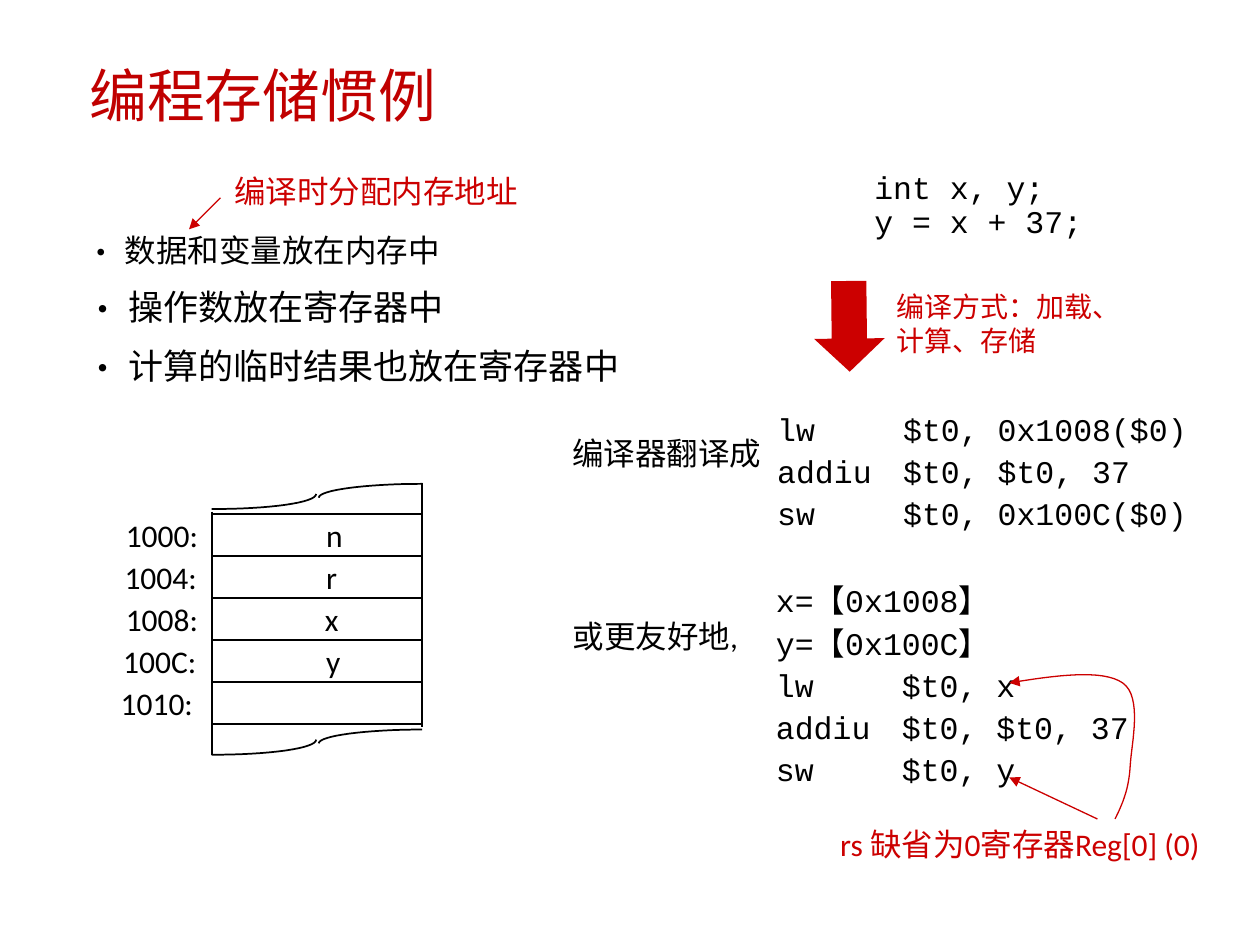
from lxml.etree import SubElement
from pptx import Presentation
from pptx.dml.color import RGBColor
from pptx.enum.shapes import MSO_CONNECTOR as Line, MSO_SHAPE as Shape
from pptx.enum.text import MSO_ANCHOR as Anchor, PP_ALIGN as Align
from pptx.oxml.ns import qn
from pptx.util import Inches, Pt

THEME = {
    "black": RGBColor(0, 0, 0), "red": RGBColor(0xCC, 0, 0),
    "title": RGBColor(0xC0, 0, 0),
    "sans": "Calibri", "cjk": "Noto Sans CJK SC", "code": "Courier New",
    "title_size": 33, "large": 20, "body": 18, "small": 16,
    "rule": 1, "arrow": 0.75,
}

TITLE = "编程存储惯例"
BULLETS = [("数据和变量放在内存中", "body", 0.31),
           ("操作数放在寄存器中", "large", 0.34),
           ("计算的临时结果也放在寄存器中", "large", 0.34)]
MEMORY = [("1000:", 0.9, "n", 2.49), ("1004:", 0.89, "r", 2.49),
          ("1008:", 0.9, "x", 2.48), ("100C:", 0.88, "y", 2.49),
          ("1010:", 0.86, "", 0)]
SOURCE_CODE = ["int x, y;", "y = x + 37;"]
ASSEMBLY = ["lw\t$t0, 0x1008($0)", "addiu\t$t0, $t0, 37",
            "sw\t$t0, 0x100C($0)"]
FRIENDLY = ["x=【0x1008】", "y=【0x100C】", "lw\t$t0, x",
            "addiu\t$t0, $t0, 37", "sw\t$t0, y"]

CODE = {"font": "code", "spacing": 0.6, "before": 11.2, "wrap": True, "tab": 1}
NOTE = {"color": "red", "spacing": 1.0}
CENTERED = {"align": Align.CENTER}
TEXTS = [
    ((1.76, 1.32, 2.45, 0.4), ["编译时分配内存地址"], {**NOTE, "font": "cjk"}),
    ((6.84, 1.32, 1.85, 0.91), SOURCE_CODE, {"font": "code"}),
    ((6.06, 4.67, 3.11, 1.62), FRIENDLY, CODE),
    ((4.41, 4.88, 1.58, 0.37), ["或更友好地,"], CENTERED),
    ((6.57, 6.5, 3.48, 0.4), ["rs 缺省为0寄存器Reg[0] (0)"], NOTE),
    ((6.07, 3.31, 3.7, 0.95), ASSEMBLY, CODE),
    ((4.44, 3.43, 1.7, 0.37), ["编译器翻译成"], {**CENTERED, "font": "cjk"}),
    ((7.02, 2.25, 2.15, 0.64), ["编译方式：加载、计算、存储"],
     {**NOTE, "size": "small", "wrap": True}),
]

LEFT, RIGHT, FIRST_ROW, ROW = 1.69, 3.35, 4.08, 1 / 3
TORN_EDGE = [[(2.53, 3.95), (2.53, 3.89), (2.9, 3.84), (3.35, 3.84)],
             [(2.51, 3.92), (2.51, 3.99), (2.14, 4.04), (1.68, 4.04)]]
EDGE_GAP = 1.95
SIDES = [((1.68, 4.06), (1.68, 5.99)), ((3.35, 3.83), (3.35, 5.77))]
NOTE_ARROWS = [((1.75, 1.57), (1.5, 1.82)), ((8.71, 6.5), (8.01, 6.17))]
RETURN_CURVE = [
    [(8.85, 6.5), (8.91, 6.38), (8.96, 6.26), (8.97, 6.08)],
    [(8.97, 6.08), (8.98, 5.9), (9.07, 5.53), (8.91, 5.42)],
    [(8.91, 5.42), (8.75, 5.31), (8.38, 5.36), (8.01, 5.42)],
]


def style_paragraph(para, font="sans", color="black", size="body",
                    align=Align.LEFT, spacing=0.9, before=0):
    para.alignment, para.line_spacing = align, spacing
    para.space_before = Pt(before)
    values = {"name": THEME[font], "size": Pt(THEME[size])}
    for span in para.runs:
        for name, value in values.items():
            setattr(span.font, name, value)
        span.font.color.rgb = THEME[color]
        SubElement(span.font._element, qn("a:ea"), typeface=THEME["cjk"])


def add_text(page, place, lines, wrap=False, before=0, tab=None, **style):
    box = page.shapes.add_textbox(*map(Inches, place))
    frame = box.text_frame
    frame.word_wrap = wrap
    frame.text = "\n".join(lines)
    for index, para in enumerate(frame.paragraphs):
        if tab:
            stops = SubElement(para._p.get_or_add_pPr(), qn("a:tabLst"))
            SubElement(stops, qn("a:tab"), pos=str(Inches(tab)), algn="l")
        style_paragraph(para, before=before if index else 0, **style)
    return frame


def style_line(shape, color, width, arrow):
    shape.line.color.rgb = THEME[color]
    shape.line.width = Pt(THEME[width])
    if arrow:
        SubElement(shape.line._get_or_add_ln(), qn("a:tailEnd"), type="triangle")


def add_line(page, start, end, color="black", width="rule", arrow=False):
    points = map(Inches, (*start, *end))
    line = page.shapes.add_connector(Line.STRAIGHT, *points)
    style_line(line, color, width, arrow)
    SubElement(line._element.spPr, qn("a:effectLst"))


def bezier(controls, steps=16):
    for step in range(steps + 1):
        t = step / steps
        weights = ((1 - t) ** 3, 3 * t * (1 - t) ** 2, 3 * t * t * (1 - t), t ** 3)
        yield tuple(Inches(sum(w * point[axis] for w, point in zip(weights, controls)))
                    for axis in (0, 1))


def add_curve(page, pieces, color="black", width="rule", arrow=False):
    points = [point for piece in pieces for point in bezier(piece)]
    builder = page.shapes.build_freeform(*points[0])
    builder.add_line_segments(points[1:], close=False)
    curve = builder.convert_to_shape()
    curve.shadow.inherit = False
    curve.fill.background()
    style_line(curve, color, width, arrow)


def add_title(page):
    title = page.shapes.title
    place = dict(zip(("left", "top", "width", "height"), (0.61, 0.33, 8.62, 0.91)))
    for name, value in place.items():
        setattr(title, name, Inches(value))
    title.text_frame.text = TITLE
    title.text_frame.vertical_anchor = Anchor.MIDDLE
    style_paragraph(title.text_frame.paragraphs[0], "cjk", "title", "title_size")


def add_bullets(page):
    frame = add_text(page, (0.58, 1.82, 5.58, 1.79),
                     [text for text, _, _ in BULLETS], wrap=True)
    for index, (para, (_, size, indent)) in enumerate(zip(frame.paragraphs, BULLETS)):
        props = para._p.get_or_add_pPr()
        props.set("marL", str(Inches(indent)))
        props.set("indent", str(-Inches(indent)))
        SubElement(props, qn("a:buFont"), typeface=THEME["cjk"])
        SubElement(props, qn("a:buChar"), char="•")
        style_paragraph(para, "cjk", size=size, before=12 if index else 0)


def add_memory(page):
    for index in range(len(MEMORY) + 1):
        y = FIRST_ROW + index * ROW
        add_line(page, (LEFT, y), (RIGHT, y))
    for index, (address, address_x, name, name_x) in enumerate(MEMORY):
        y = FIRST_ROW + index * ROW
        add_text(page, (address_x, y, 0.84, 0.37), [address])
        if name:
            add_text(page, (name_x, y, 0.34, 0.37), [name])
    for side in SIDES:
        add_line(page, *side)
    for shift in (0, EDGE_GAP):
        for piece in TORN_EDGE:
            add_curve(page, [[(x, y + shift) for x, y in piece]])


def add_block_arrow(page):
    arrow = page.shapes.add_shape(
        Shape.DOWN_ARROW, *map(Inches, (6.46, 2.23, 0.56, 0.72)))
    arrow.adjustments[0], arrow.adjustments[1] = 0.5, 0.47
    arrow.rotation = 359.4
    arrow.shadow.inherit = False
    arrow.fill.solid()
    arrow.fill.fore_color.rgb = THEME["red"]
    arrow.line.fill.background()


def main():
    deck = Presentation()
    deck.slide_width, deck.slide_height = Inches(10), Inches(7.5)
    page = deck.slides.add_slide(deck.slide_layouts[5])
    add_title(page)
    add_bullets(page)
    add_memory(page)
    for place, lines, style in TEXTS:
        add_text(page, place, lines, **style)
    for start, end in NOTE_ARROWS:
        add_line(page, start, end, "red", "arrow", True)
    add_curve(page, RETURN_CURVE, "red", "arrow", True)
    add_block_arrow(page)
    deck.save("out.pptx")


if __name__ == "__main__":
    main()
